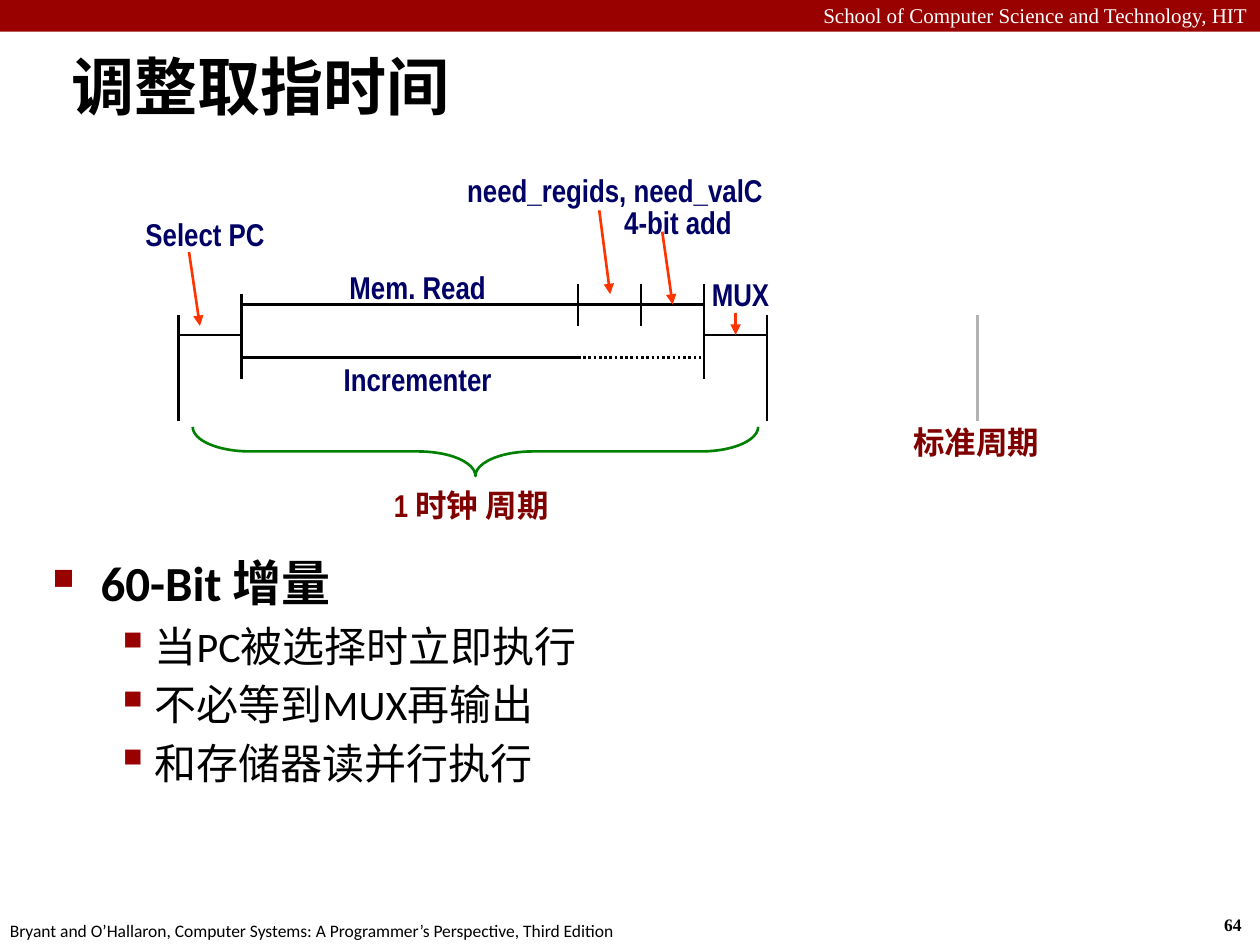
import pptx
import pptx.dml.color
import pptx.enum.dml
import pptx.enum.shapes
import pptx.enum.text
import pptx.oxml
import pptx.util

Cm = pptx.util.Cm
Pt = pptx.util.Pt
RGB = pptx.dml.color.RGBColor
KIND = pptx.enum.shapes.MSO_SHAPE
ALIGN = pptx.enum.text.PP_ALIGN
DOT = pptx.enum.dml.MSO_LINE.ROUND_DOT

BLACK = RGB(0x00, 0x00, 0x00)
WHITE = RGB(0xFF, 0xFF, 0xFF)
RED = RGB(0x99, 0x00, 0x00)
MAROON = RGB(0x80, 0x00, 0x00)
NAVY = RGB(0x00, 0x00, 0x66)
ORANGE = RGB(0xFF, 0x33, 0x00)
GREEN = RGB(0x00, 0x80, 0x00)
GREY = RGB(0xB2, 0xB2, 0xB2)

deck = pptx.Presentation()
deck.slide_width = Cm(25.4)
deck.slide_height = Cm(19.05)
slide = deck.slides.add_slide(deck.slide_layouts[6])


def write(par, text, color, form):
    run = par.add_run()
    run.text = text
    for key, value in form.items():
        setattr(run.font, key, value)
    run.font.color.rgb = color


def box(place, wrap=True):
    frame = slide.shapes.add_textbox(*map(Cm, place)).text_frame
    frame.word_wrap = wrap
    return frame


band = slide.shapes.add_shape(KIND.RECTANGLE, 0, 0, deck.slide_width, Cm(0.64))
band.shadow.inherit = False
band.fill.solid()
band.fill.fore_color.rgb = RED
band.line.fill.background()

head = box((0, -0.08, 25.4, 0.76)).paragraphs[0]
head.alignment = ALIGN.RIGHT
write(head, "School of Computer Science and Technology, HIT", WHITE,
      {"name": "Times New Roman", "size": Pt(12)})

page = box((24.43, 18.31, 0.94, 0.69), False)
write(page.paragraphs[0], "64", BLACK,
      {"name": "Times New Roman", "size": Pt(10), "bold": True})

foot = box((-0.05, 18.42, 12.9, 0.69), False)
write(foot.paragraphs[0],
      "Bryant and O’Hallaron, Computer Systems: A Programmer’s Perspective, Third Edition",
      BLACK, {"name": "Calibri", "size": Pt(10)})

title = box((1.19, 0.64, 24.21, 2.16))
title.vertical_anchor = pptx.enum.text.MSO_ANCHOR.MIDDLE
write(title.paragraphs[0], "调整取指时间", BLACK,
      {"name": "Calibri", "size": Pt(36), "bold": True})

items = [
    ("60-Bit 增量", 0),
    ("当PC被选择时立即执行", 1),
    ("不必等到MUX再输出", 1),
    ("和存储器读并行执行", 1),
]
styles = [
    {"size": 28, "left": 0.97, "hang": 0.97, "mark": "■", "scale": 60},
    {"size": 24, "left": 2.06, "hang": 0.79, "mark": "▪", "scale": 110},
]
body = box((0.81, 11.02, 23.06, 6.88))
for rank, (text, level) in enumerate(items):
    style = styles[level]
    par = body.add_paragraph() if rank else body.paragraphs[0]
    par.level = level
    par.space_before = Pt(style["size"] * 0.2)
    props = par._p.get_or_add_pPr()
    props.set("marL", str(Cm(style["left"])))
    props.set("indent", str(-Cm(style["hang"])))
    for tag, attr, value in [
        ("buClr", "", f'<a:srgbClr val="{RED}"/>'),
        ("buSzPct", f'val="{style["scale"] * 1000}"', ""),
        ("buChar", f'char="{style["mark"]}"', ""),
    ]:
        space = 'xmlns:a="http://schemas.openxmlformats.org/drawingml/2006/main"'
        props.append(pptx.oxml.parse_xml(f"<a:{tag} {space} {attr}>{value}</a:{tag}>"))
    write(par, text, BLACK,
          {"name": "Calibri", "size": Pt(style["size"]), "bold": level == 0})

start, fork, need, add, join, end, norm = 3.6, 4.87, 11.65, 12.92, 14.19, 15.46, 19.7
top, mid, low = 6.14, 6.75, 7.21
lines = [
    (start, 6.35, start, 8.48, BLACK),
    (start, mid, fork, mid, BLACK),
    (fork, 5.93, fork, 7.64, BLACK),
    (fork, top, join, top, BLACK),
    (fork, low, need, low, BLACK),
    (need, low, join, low, BLACK),
    (need, 5.72, need, 6.57, BLACK),
    (add, 5.72, add, 6.57, BLACK),
    (join, 5.72, join, 7.64, BLACK),
    (join, mid, end, mid, BLACK),
    (end, 6.35, end, 8.48, BLACK),
    (norm, 6.35, norm, 8.48, GREY),
    (3.81, 5.08, 4.03, 6.57, ORANGE),
    (12.08, 4.24, 12.3, 5.93, ORANGE),
    (13.35, 4.67, 13.56, top, ORANGE),
    (14.83, 6.3, 14.83, mid, ORANGE),
]
for *ends, color in lines:
    wire = slide.shapes.add_connector(
        pptx.enum.shapes.MSO_CONNECTOR.STRAIGHT, *map(Cm, ends))
    wire.line.color.rgb = color
    wire.line.width = Pt(1.5)
    if ends == [need, low, join, low]:
        wire.line.dash_style = DOT
    if color == ORANGE:
        tip = pptx.oxml.xmlchemy.OxmlElement("a:tailEnd")
        tip.set("type", "triangle")
        wire.line._get_or_add_ln().append(tip)
    wire._element.spPr.append(pptx.oxml.xmlchemy.OxmlElement("a:effectLst"))

brace = slide.shapes.add_shape(KIND.LEFT_BRACE, *map(Cm, (9.09, 3.4, 0.99, 11.4)))
brace.rotation = 270
brace.adjustments[0] = 1.17
brace.shadow.inherit = False
brace.fill.background()
brace.line.color.rgb = GREEN
brace.line.width = Pt(1.5)

labels = [
    ("Select PC", 2.79, 4.29, 2.69, NAVY),
    ("Mem. Read", 6.91, 5.36, 3.02, NAVY),
    ("Incrementer", 6.78, 7.21, 3.28, NAVY),
    ("need_regids, need_valC", 9.25, 3.4, 6.3, NAVY),
    ("4-bit add", 12.45, 4.04, 2.44, NAVY),
    ("MUX", 14.22, 5.51, 1.42, NAVY),
    ("1 时钟 周期", 7.72, 9.75, 3.56, MAROON),
    ("标准周期", 18.26, 8.48, 2.84, MAROON),
]
for text, left, high, wide, color in labels:
    frame = box((left, high, wide, 0.94), False)
    for side in ("left", "right", "top", "bottom"):
        setattr(frame, f"margin_{side}", Cm(0.13))
    par = frame.paragraphs[0]
    par.alignment = ALIGN.CENTER
    par.line_spacing = 0.9
    write(par, text, color, {"name": "Arial Narrow", "size": Pt(18), "bold": True})

deck.save("out.pptx")
